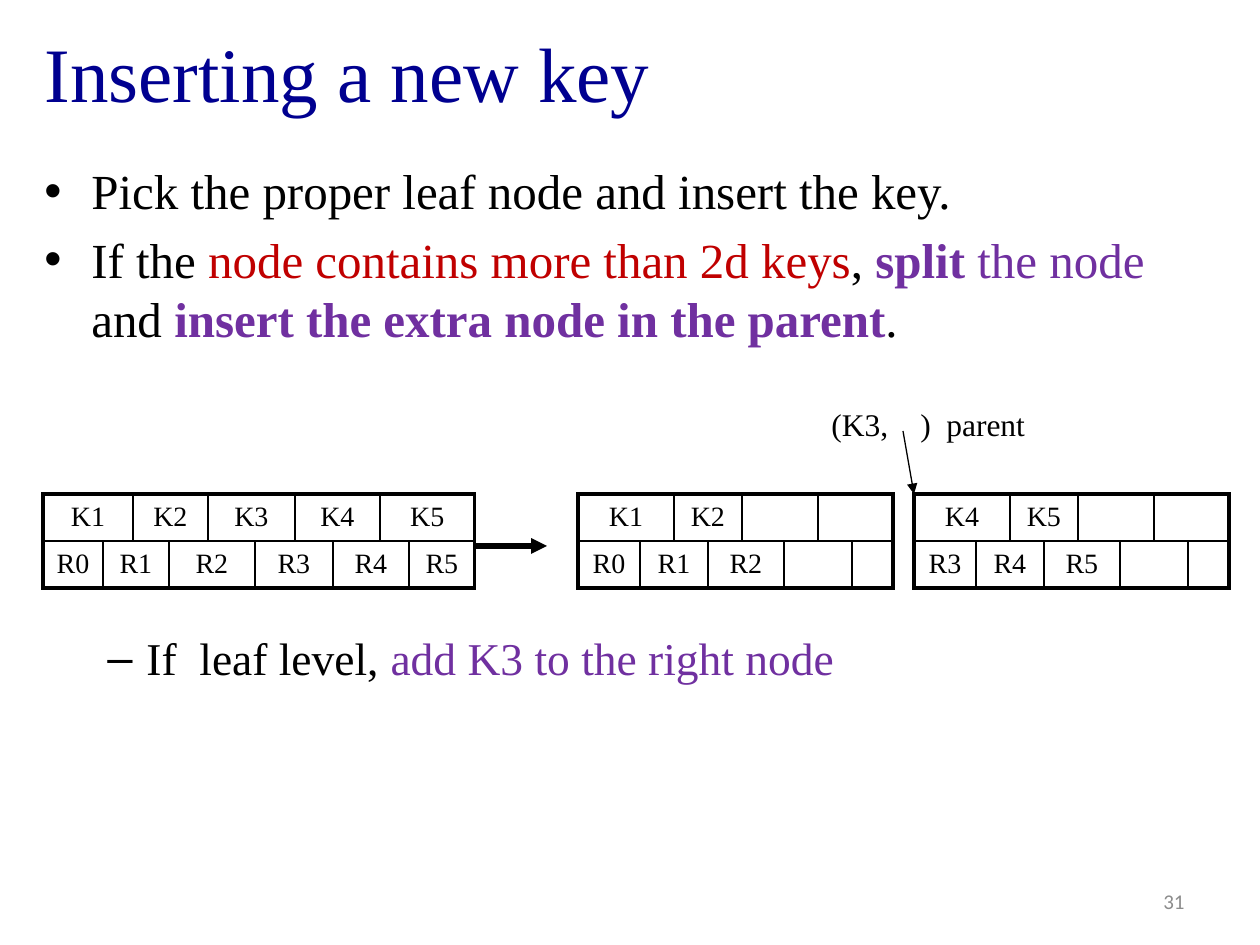
from lxml import etree
from pptx import Presentation
from pptx import util as u
from pptx.dml.color import RGBColor
from pptx.enum import shapes, text
from pptx.oxml import parse_xml
from pptx.oxml.ns import nsdecls, qn

NAVY = RGBColor(0x00, 0x00, 0x90)
RED = RGBColor(0xC0, 0x00, 0x00)
PLUM = RGBColor(0x70, 0x30, 0xA0)
GREY = RGBColor(0x8C, 0x8C, 0x8C)
BLACK = RGBColor(0, 0, 0)
SERIF = "Times New Roman"
THIN, THICK = 1, 2.25

TITLE = "Inserting a new key"
# bullet, indent and hang in px, size and space before in pt, runs
BODY = [
    ("•", 47, 47, 28, 0, [("Pick the proper leaf node and insert the key.", {})]),
    ("•", 47, 47, 28, 5, [
        ("If the ", {}),
        ("node contains more than 2d keys", {"color": RED}),
        (", ", {}),
        ("split ", {"color": PLUM, "bold": True}),
        ("the node ", {"color": PLUM}),
        ("and ", {}),
        ("insert the extra node in the parent", {"color": PLUM, "bold": True}),
        (".", {}),
    ]),
    ("–", 102, 39, 26, 159, [
        ("If  leaf level, ", {}),
        ("add K3 to the right node", {"color": PLUM}),
    ]),
]

FULL = [60, 30, 36, 39, 47, 40, 38, 47, 29, 66]
HALF = [62, 34, 34, 34, 42, 34, 34, 41]
# left, column widths, keys, pointers
NODES = [
    (43, FULL, ["K1", "K2", "K3", "K4", "K5"], ["R0", "R1", "R2", "R3", "R4", "R5"]),
    (578, HALF, ["K1", "K2", "", ""], ["R0", "R1", "R2", "", ""]),
    (914, HALF, ["K4", "K5", "", ""], ["R3", "R4", "R5", "", ""]),
]
NODE_TOP, ROW = 494, 47
# start, end, width in pt
ARROWS = [
    ((903, 431), (914, 494), 0.75),
    ((473, 546), (547, 546), 3),
]


def px(n):
    return u.Emu(round(n * 914400 / 126))


def write(para, words, size=16, color=BLACK, bold=False, font=SERIF):
    run = para.add_run()
    run.text = words
    run.font.size, run.font.bold, run.font.name = u.Pt(size), bold, font
    run.font.color.rgb = color


def add_box(slide, left, top, width, height, wrap=True):
    frame = slide.shapes.add_textbox(*map(px, (left, top, width, height))).text_frame
    frame.word_wrap = wrap
    return frame


def add_body(slide):
    frame = add_box(slide, 32, 154, 1203, 772)
    for i, (mark, indent, hang, size, gap, runs) in enumerate(BODY):
        para = frame.add_paragraph() if i else frame.paragraphs[0]
        para.line_spacing, para.space_before = u.Pt(34), u.Pt(gap)
        props = para._p.get_or_add_pPr()
        props.set("marL", str(px(indent)))
        props.set("indent", str(px(-hang)))
        etree.SubElement(props, qn("a:buFont")).set("typeface", "Arial")
        etree.SubElement(props, qn("a:buChar")).set("char", mark)
        for words, form in runs:
            write(para, words, size=size, **form)


def rule(cell, **sides):
    """Draw the cell's borders; each side gives its width in pt."""
    props = cell._tc.get_or_add_tcPr()
    for side, width in sides.items():
        props.append(parse_xml(
            f'<a:ln{side} {nsdecls("a")} w="{u.Pt(width)}"><a:solidFill>'
            f'<a:srgbClr val="{BLACK}"/></a:solidFill></a:ln{side}>'))


def add_node(slide, left, widths, keys, refs):
    count = len(widths)
    table = slide.shapes.add_table(
        2, count, px(left), px(NODE_TOP), px(sum(widths)), px(2 * ROW)).table
    table.first_row = table.horz_banding = False
    for col, width in zip(table.columns, widths):
        col.width = px(width)
    for r, row in enumerate(table.rows):
        row.height = px(ROW)
        for c, cell in enumerate(row.cells):
            rule(cell, L=THIN if c else THICK, R=THIN if c < count - 1 else THICK,
                 T=THIN if r else THICK, B=THICK if r else THIN)
            cell.fill.background()
            cell.margin_left = cell.margin_right = 0
            cell.margin_top = cell.margin_bottom = 0
            cell.vertical_anchor = text.MSO_ANCHOR.MIDDLE
    # keys span column pairs; pointers straddle them, one column at each end
    spans = [(0, 2 * i, 2 * i + 1, key) for i, key in enumerate(keys)]
    spans += [(1, max(0, 2 * i - 1), min(2 * i, count - 1), ref)
              for i, ref in enumerate(refs)]
    for r, first, last, words in spans:
        cell = table.cell(r, first)
        if last > first:
            cell.merge(table.cell(r, last))
            if last == count - 1:
                old = cell._tc.tcPr.find(qn("a:lnR"))
                old.set("w", str(u.Pt(THICK)))
        if words:
            para = cell.text_frame.paragraphs[0]
            para.alignment = text.PP_ALIGN.CENTER
            write(para, words)


def add_arrow(slide, start, end, width):
    line = slide.shapes.add_connector(
        shapes.MSO_CONNECTOR.STRAIGHT, *map(px, start + end))
    line.line.color.rgb, line.line.width = BLACK, u.Pt(width)
    etree.SubElement(line.line._get_or_add_ln(), qn("a:tailEnd")).set("type", "triangle")
    etree.SubElement(line._element.spPr, qn("a:effectLst"))


def main():
    deck = Presentation()
    deck.slide_width, deck.slide_height = px(1260), px(945)
    slide = deck.slides.add_slide(deck.slide_layouts[5])

    title = slide.shapes.title
    title.left, title.top, title.width, title.height = map(px, (32, 6, 1203, 131))
    title.text_frame.vertical_anchor = text.MSO_ANCHOR.MIDDLE
    para = title.text_frame.paragraphs[0]
    para.alignment = text.PP_ALIGN.LEFT
    write(para, TITLE, size=44, color=NAVY)

    add_body(slide)

    number = add_box(slide, 876, 876, 321, 50)
    number.vertical_anchor = text.MSO_ANCHOR.MIDDLE
    number.paragraphs[0].alignment = text.PP_ALIGN.RIGHT
    write(number.paragraphs[0], "31", size=12, color=GREY, font="Calibri")

    for node in NODES:
        add_node(slide, *node)

    para = add_box(slide, 819, 399, 220, 50, wrap=False).paragraphs[0]
    tabs = etree.SubElement(para._p.get_or_add_pPr(), qn("a:tabLst"))
    for stop in (89, 115):
        etree.SubElement(tabs, qn("a:tab"), pos=str(px(stop)), algn="l")
    write(para, "(K3,\t)\tparent", size=18)

    for arrow in ARROWS:
        add_arrow(slide, *arrow)
    deck.save("out.pptx")


if __name__ == "__main__":
    main()
